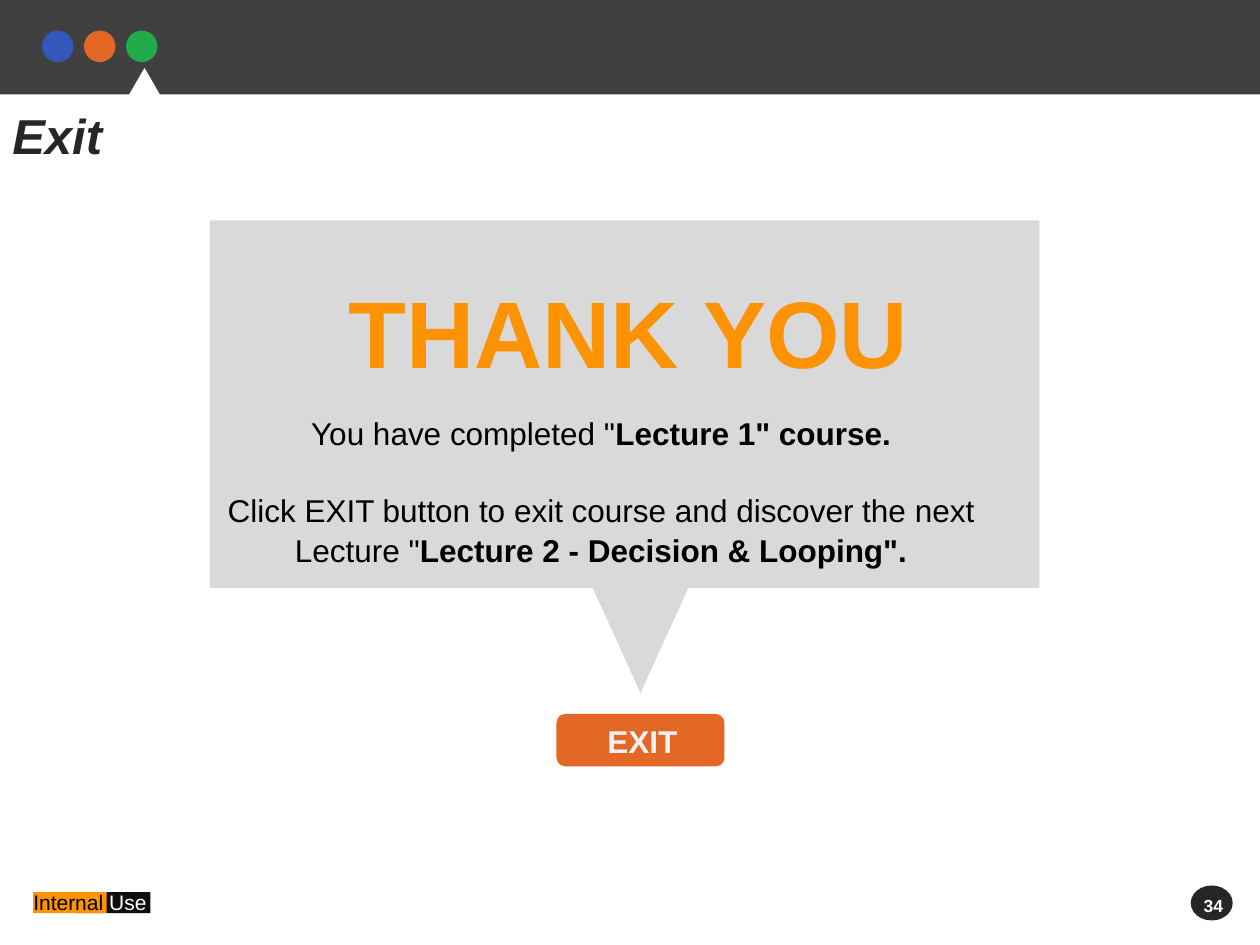
from dataclasses import dataclass

from pptx import Presentation
from pptx import util as u
from pptx.dml import color
from pptx.enum import shapes, text

KIND = shapes.MSO_SHAPE


@dataclass(frozen=True)
class Theme:
    font: str = "Arial"
    white: str = "FFFFFF"
    black: str = "000000"
    ink: str = "262626"
    bar: str = "404040"
    blue: str = "3357BB"
    rust: str = "E46825"
    green: str = "23AA4A"
    amber: str = "FD9203"
    dark: str = "0D0D0D"
    panel: str = "D9D9D9"
    pale: str = "F2F2F2"
    huge: int = 54
    title: int = 28
    body: int = 18
    label: int = 12
    small: int = 10
    lead: float = 1.06


class Deck:
    """Draws styled elements on the current slide, with lengths in points."""

    def __init__(self, theme, wide, high):
        self.theme = theme
        self.prs = Presentation()
        self.prs.slide_width, self.prs.slide_height = u.Pt(wide), u.Pt(high)
        self.slide = self.prs.slides.add_slide(self.prs.slide_layouts[6])

    def shape(self, kind, box, fill, turn=0):
        item = self.slide.shapes.add_shape(kind, *map(u.Pt, box))
        item.shadow.inherit = False
        item.fill.solid()
        item.fill.fore_color.rgb = color.RGBColor.from_string(fill)
        item.line.fill.background()
        item.rotation = turn

    def text(self, box, size, paras, bold=False, slant=False, align=None, gap=0, inset=7.2):
        frame = self.slide.shapes.add_textbox(*map(u.Pt, box)).text_frame
        frame.word_wrap = True
        frame.auto_size = text.MSO_AUTO_SIZE.SHAPE_TO_FIT_TEXT
        frame.margin_left = u.Pt(inset)
        for spot, runs in enumerate(paras):
            para = frame.add_paragraph() if spot else frame.paragraphs[0]
            para.alignment = align
            para.line_spacing = self.theme.lead
            para.space_before = u.Pt(gap if spot else 0)
            for words, tone, *heavy in runs:
                run = para.add_run()
                run.text = words
                font = run.font
                font.name, font.size = self.theme.font, u.Pt(size)
                font.bold = heavy[0] if heavy else bold
                font.italic = slant
                font.color.rgb = color.RGBColor.from_string(tone)

    def save(self):
        self.prs.save("out.pptx")


def main():
    t = Theme()
    deck = Deck(t, 720, 540)

    deck.shape(KIND.RECTANGLE, (0, 0, 720, 54), t.bar)
    for spot, tone in enumerate((t.blue, t.rust, t.green)):
        deck.shape(KIND.OVAL, (24 + 24 * spot, 17.5, 18, 18), tone)
    deck.shape(KIND.ISOSCELES_TRIANGLE, (61.8, 38.8, 41.6, 36), t.white)

    deck.shape(KIND.RECTANGLE, (44, 509.8, 42, 12), t.dark)
    deck.shape(KIND.RECTANGLE, (19, 509.8, 42, 12), t.amber)
    deck.text((12, 504, 108, 21.6), t.label, [[("Internal ", t.black), ("Use", t.white)]])

    deck.shape(KIND.ISOSCELES_TRIANGLE, (336, 330, 60, 66), t.panel, 180)
    deck.shape(KIND.RECTANGLE, (120, 126, 474, 210), t.panel)
    deck.shape(KIND.ROUNDED_RECTANGLE, (318, 408, 96, 30), t.rust)

    deck.text((96, 232, 495, 116.6), t.body, [
        [("You have completed \"", t.black), ("Lecture 1\" course.", t.black, True)],
        [("Click EXIT button to exit course and discover the next Lecture \"", t.black),
         ("Lecture 2 - Decision & Looping\".", t.black, True)],
    ], align=text.PP_ALIGN.CENTER, gap=21)
    deck.text((192, 149, 342, 72.7), t.huge, [[("THANK YOU", t.amber)]], bold=True)
    deck.text((340, 408, 96, 30), t.body, [[("EXIT", t.pale)]], bold=True)
    deck.text((0, 55, 686, 41), t.title, [[("Exit", t.ink)]], bold=True, slant=True)

    deck.shape(KIND.OVAL, (680.4, 506, 24, 20), t.ink)
    deck.text((675, 507, 60, 19.4), t.small, [[("34", t.white)]], bold=True, inset=12.8)
    deck.save()


if __name__ == "__main__":
    main()
